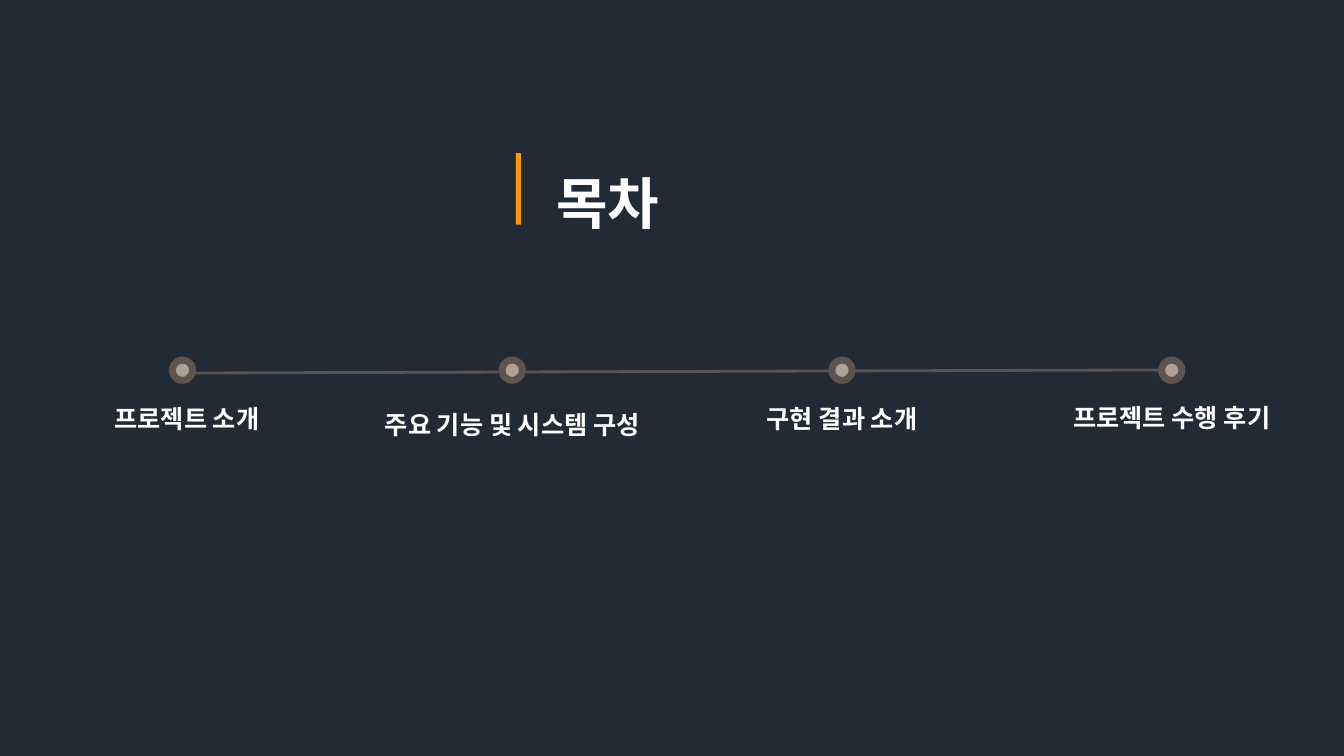
from lxml import etree
from pptx import Presentation
from pptx import util as u
from pptx.dml.color import RGBColor
from pptx.enum import shapes, text
from pptx.oxml.ns import qn

COLOURS = {
    "background": "222A35",
    "text": "FFFFFF",
    "accent": "FF9900",
    "track": "5F544D",
    "dot": "AEA198",
}
FONT = "Noto Sans CJK KR"

FIRST_DOT, DOT_PITCH, DOT_MIDDLE, DOT_SIZE = 4.6, 8.31, 9.33, 0.51

# Text, label width, label top, offset of the label from its dot
CHAPTERS = [
    ("프로젝트 소개", 5.0, 10.03, 0.11),
    ("주요 기능 및 시스템 구성", 8.08, 10.19, 0),
    ("구현 결과 소개", 6.17, 10.03, 0),
    ("프로젝트 수행 후기", 6.17, 10.01, 0),
]


def colour(name):
    return RGBColor.from_string(COLOURS[name])


class AgendaPage:
    """Holds the current slide and draws elements in the agenda style, in cm."""

    def __init__(self, deck):
        self.page = deck.slides.add_slide(deck.slide_layouts[5])
        fill = self.page.background.fill
        fill.solid()
        fill.fore_color.rgb = colour("background")

    def add_words(self, box, words, size, align):
        frame = box.text_frame
        frame.word_wrap = True
        frame.auto_size = text.MSO_AUTO_SIZE.SHAPE_TO_FIT_TEXT
        frame.vertical_anchor = text.MSO_ANCHOR.TOP
        para = frame.paragraphs[0]
        para.alignment = align
        span = para.add_run()
        span.text = words
        span.font.size = u.Pt(size)
        span.font.bold = True
        span.font.color.rgb = colour("text")
        span.font.name = FONT
        east_asian = etree.SubElement(span.font._element, qn("a:ea"))
        east_asian.set("typeface", FONT)
        return para

    def title(self, words, left, top, width, height):
        box = self.page.shapes.title
        box.left, box.top = u.Cm(left), u.Cm(top)
        box.width, box.height = u.Cm(width), u.Cm(height)
        para = self.add_words(box, words, 40, text.PP_ALIGN.LEFT)
        para.line_spacing = 1.5

    def label(self, words, centre, top, width):
        box = self.page.shapes.add_textbox(
            u.Cm(centre - width / 2), u.Cm(top), u.Cm(width), u.Cm(1.02))
        self.add_words(box, words, 18, text.PP_ALIGN.CENTER)

    def shape(self, kind, left, top, width, height, fill):
        shape = self.page.shapes.add_shape(
            kind, u.Cm(left), u.Cm(top), u.Cm(width), u.Cm(height))
        shape.shadow.inherit = False
        shape.fill.solid()
        shape.fill.fore_color.rgb = colour(fill)
        shape.line.fill.background()
        return shape

    def bar(self, left, top, width, height):
        self.shape(shapes.MSO_SHAPE.RECTANGLE, left, top, width, height, "accent")

    def dot(self, centre):
        dot = self.shape(shapes.MSO_SHAPE.OVAL, centre - DOT_SIZE / 2,
                         DOT_MIDDLE - DOT_SIZE / 2, DOT_SIZE, DOT_SIZE, "dot")
        dot.line.color.rgb = colour("track")
        dot.line.width = u.Pt(5)

    def track(self, x1, y1, x2, y2):
        line = self.page.shapes.add_connector(
            shapes.MSO_CONNECTOR.STRAIGHT, u.Cm(x1), u.Cm(y1), u.Cm(x2), u.Cm(y2))
        line.line.color.rgb = colour("track")
        line.line.width = u.Pt(2)
        etree.SubElement(line._element.spPr, qn("a:effectLst"))


def main():
    deck = Presentation()
    deck.slide_width, deck.slide_height = u.Cm(33.87), u.Cm(19.05)
    agenda = AgendaPage(deck)
    agenda.title("목차", 13.77, 3.28, 15.32, 2.49)
    agenda.bar(13, 3.86, 0.13, 1.8)
    agenda.track(4.67, 9.4, 29.77, 9.32)
    centres = [FIRST_DOT + i * DOT_PITCH for i in range(len(CHAPTERS))]
    for centre in centres:
        agenda.dot(centre)
    for centre, (words, width, top, offset) in zip(centres, CHAPTERS):
        agenda.label(words, centre + offset, top, width)
    deck.save("out.pptx")


if __name__ == "__main__":
    main()
